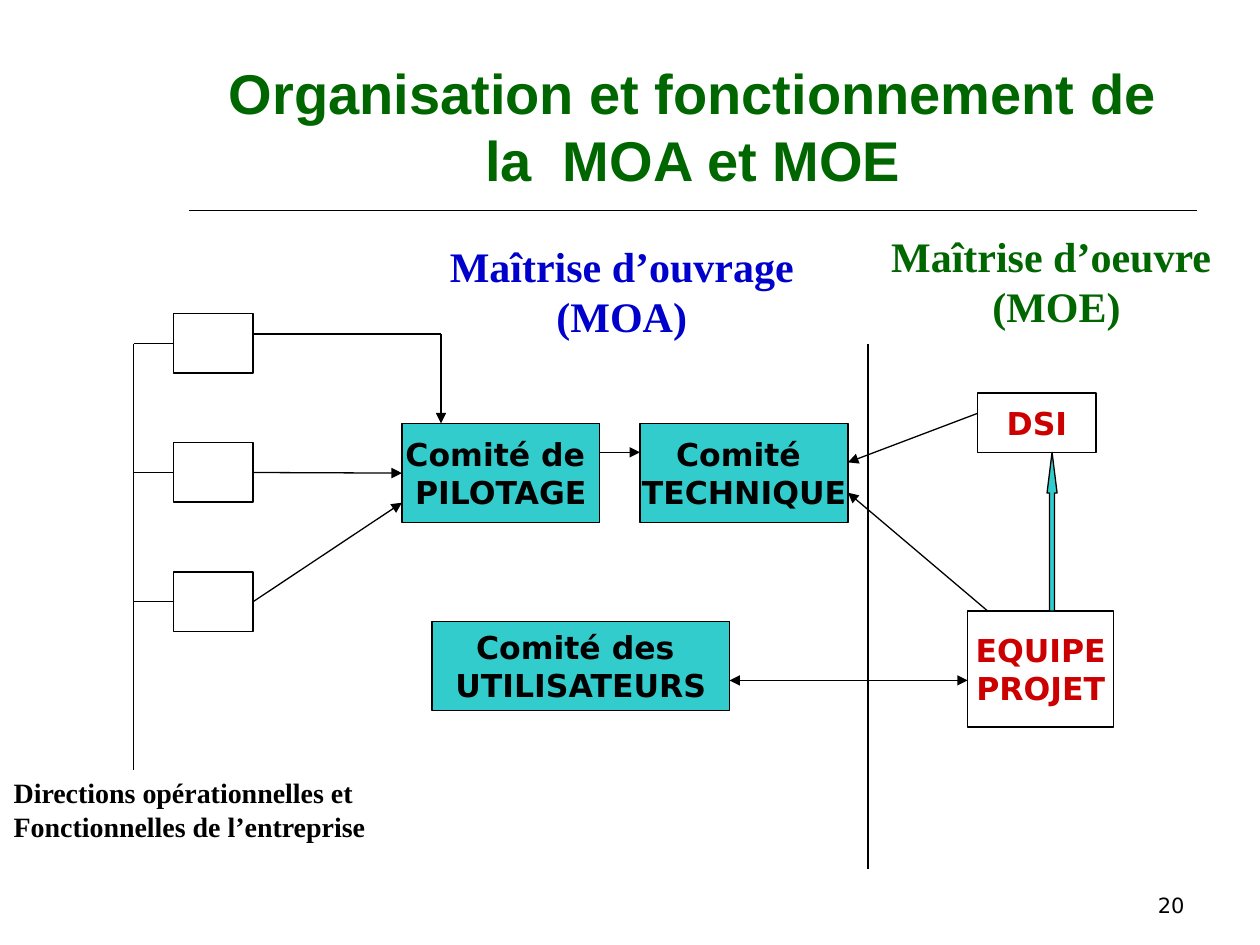
from lxml.etree import SubElement
from pptx import Presentation
from pptx.dml.color import RGBColor
from pptx.enum.shapes import MSO_CONNECTOR, MSO_SHAPE
from pptx.enum.text import MSO_ANCHOR as Anchor, PP_ALIGN as Align
from pptx.oxml.ns import qn
from pptx.util import Inches, Pt

CELL = Inches(0.1)  # the slide is a grid of 100 columns by 75 rows
BLACK, GREEN, BLUE, RED, TEAL = "000000", "006600", "0000CC", "CC0000", "33CCCC"
SANS, SERIF = "DejaVu Sans", "Times New Roman"

presentation = Presentation()
presentation.slide_width, presentation.slide_height = 100 * CELL, 75 * CELL
slide = presentation.slides.add_slide(presentation.slide_layouts[6])


def write(shape, text, font, size, color, bold=True, align=Align.CENTER,
          anchor=Anchor.TOP, wrap=False):
    frame = shape.text_frame
    frame.word_wrap = wrap
    frame.vertical_anchor = anchor
    frame.text = text
    for paragraph in frame.paragraphs:
        paragraph.alignment = align
        for run in paragraph.runs:
            run.font.name, run.font.size, run.font.bold = font, Pt(size), bold
            run.font.color.rgb = RGBColor.from_string(color)


def draw_line(x1, y1, x2, y2, ends=(), width=0.75):
    """Draw a line; ends lists the line ends that carry an arrowhead."""
    line = slide.shapes.add_connector(
        MSO_CONNECTOR.STRAIGHT, *(int(value * CELL) for value in (x1, y1, x2, y2)))
    line.line.color.rgb = RGBColor.from_string(BLACK)
    line.line.width = Pt(width)
    for end in ends:
        SubElement(line.line._get_or_add_ln(), qn(f"a:{end}"), type="triangle")
    SubElement(line._element.spPr, qn("a:effectLst"))
    return line


# Title, headings, caption and page number
texts = [
    ((15, 3.3, 80, 12.5), "Organisation et fonctionnement de la  MOA et MOE",
     "Arial", 32, GREEN, True, Align.CENTER, Anchor.BOTTOM, True),
    ((69.7, 17.8, 28.3, 9), "Maîtrise d’oeuvre \n(MOE)", SERIF, 24, GREEN),
    ((34.3, 18.6, 30.1, 9), "Maîtrise d’ouvrage \n(MOA)", SERIF, 24, BLUE),
    ((0.1, 61.1, 29.9, 6.4), "Directions opérationnelles et\nFonctionnelles de l’entreprise",
     SERIF, 16, BLACK, True, Align.LEFT),
    ((71.7, 68.3, 23.3, 5), "20", SANS, 12, BLACK, False, Align.RIGHT, Anchor.BOTTOM, True),
]
for position, *style in texts:
    write(slide.shapes.add_textbox(*(int(value * CELL) for value in position)), *style)
draw_line(15, 16.7, 95, 16.7, width=1)

# Separation between MOA and MOE, and the trunk of the departments
draw_line(68.9, 27.3, 68.9, 69)
draw_line(10.6, 27.3, 10.6, 61.1)

# Boxes: shape, position, fill, text, text colour
RECTANGLE = MSO_SHAPE.RECTANGLE
department_rows = [24.9 + 10.25 * index for index in range(3)]
boxes = [
    (RECTANGLE, (77.6, 31.2, 9.4, 4.7), None, "DSI", RED),
    (RECTANGLE, (76.8, 48.5, 11.6, 9.2), None, "EQUIPE\nPROJET", RED),
    (RECTANGLE, (31.9, 33.6, 15.7, 7.9), TEAL, "Comité de \nPILOTAGE", BLACK),
    (RECTANGLE, (50.8, 33.6, 16.5, 7.9), TEAL, "Comité \nTECHNIQUE", BLACK),
    (RECTANGLE, (34.3, 49.3, 23.6, 7.1), TEAL, "Comité des \nUTILISATEURS", BLACK),
    (MSO_SHAPE.UP_ARROW, (83.1, 35.9, 0.8, 12.6), TEAL, "", BLACK),
]
boxes += [(RECTANGLE, (13.8, row, 6.3, 4.7), None, "", BLACK) for row in department_rows]
shapes = []
for kind, position, fill, text, color in boxes:
    shape = slide.shapes.add_shape(kind, *(int(value * CELL) for value in position))
    shape.shadow.inherit = False
    shape.line.color.rgb = RGBColor.from_string(BLACK)
    shape.line.width = Pt(0.75)
    if fill:
        shape.fill.solid()
        shape.fill.fore_color.rgb = RGBColor.from_string(fill)
    else:
        shape.fill.background()
    if text:
        write(shape, text, SANS, 18, color, anchor=Anchor.MIDDLE)
    shapes.append(shape)
dsi, team, steering, technical, users, up_arrow, *departments = shapes
up_arrow.adjustments[0], up_arrow.adjustments[1] = 0.5, 4.04

# Branches from the trunk to the departments
for department, row in zip(departments, department_rows):
    branch = draw_line(10.6, row + 2.35, 13.8, row + 2.35)
    branch.end_connect(department, 1)

# Flows between departments, committees and project team
draw_line(20.1, 26.5, 35, 26.5)
draw_line(35, 26.5, 35, 33.6, ["tailEnd"])
middle_flow = draw_line(20.1, 37.5, 31.9, 37.5, ["tailEnd"])
middle_flow.begin_connect(departments[1], 3)
middle_flow.end_connect(steering, 1)
lower_flow = draw_line(20.1, 47.7, 31.9, 39.9, ["tailEnd"])
lower_flow.begin_connect(departments[2], 3)
draw_line(47.6, 35.9, 50.8, 35.9, ["tailEnd"])
draw_line(77.6, 32.8, 67.3, 36.7, ["tailEnd"])
draw_line(78.4, 48.5, 67.3, 39.1, ["tailEnd"])
draw_line(57.9, 54, 76.8, 54, ["headEnd", "tailEnd"])

presentation.save("out.pptx")
